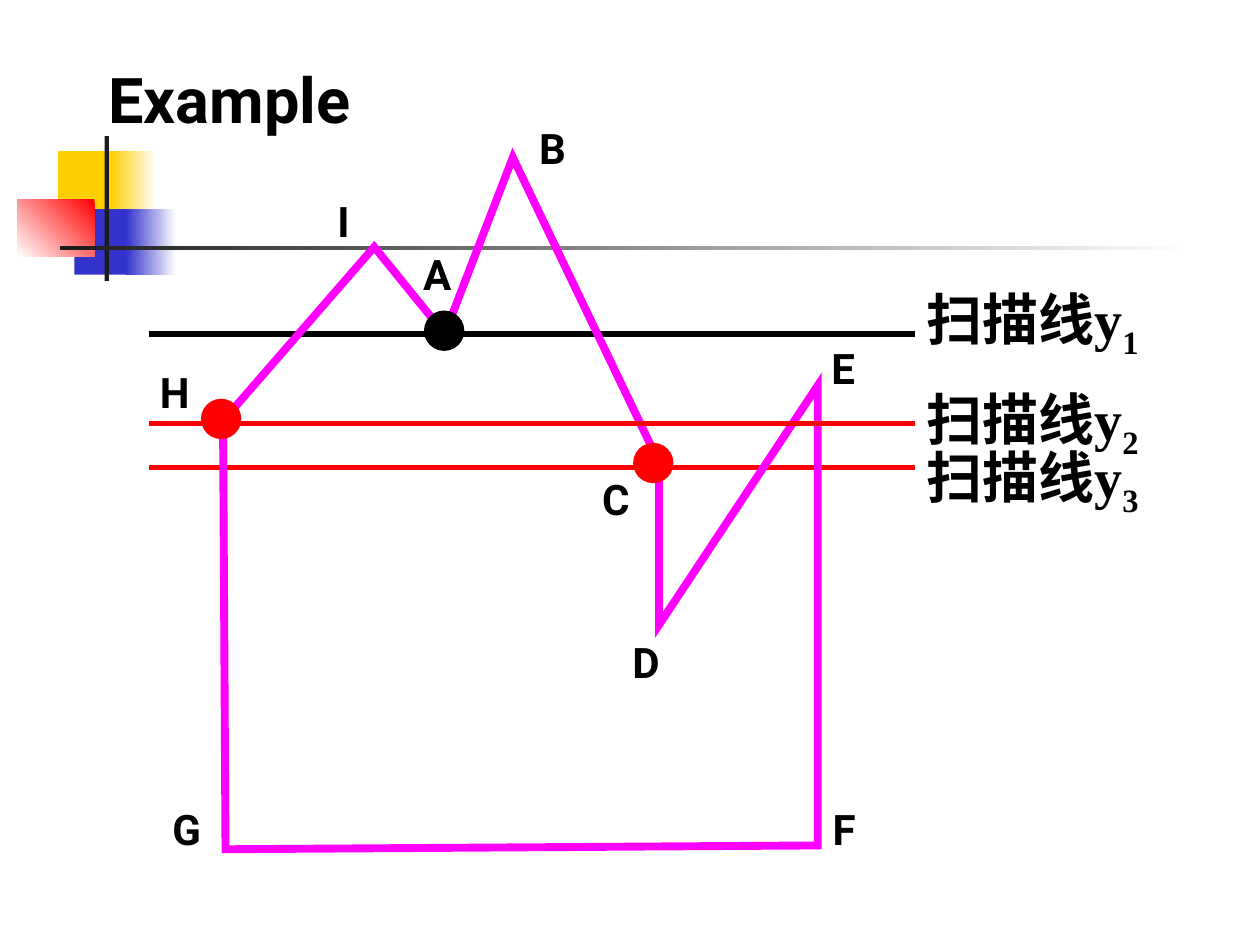
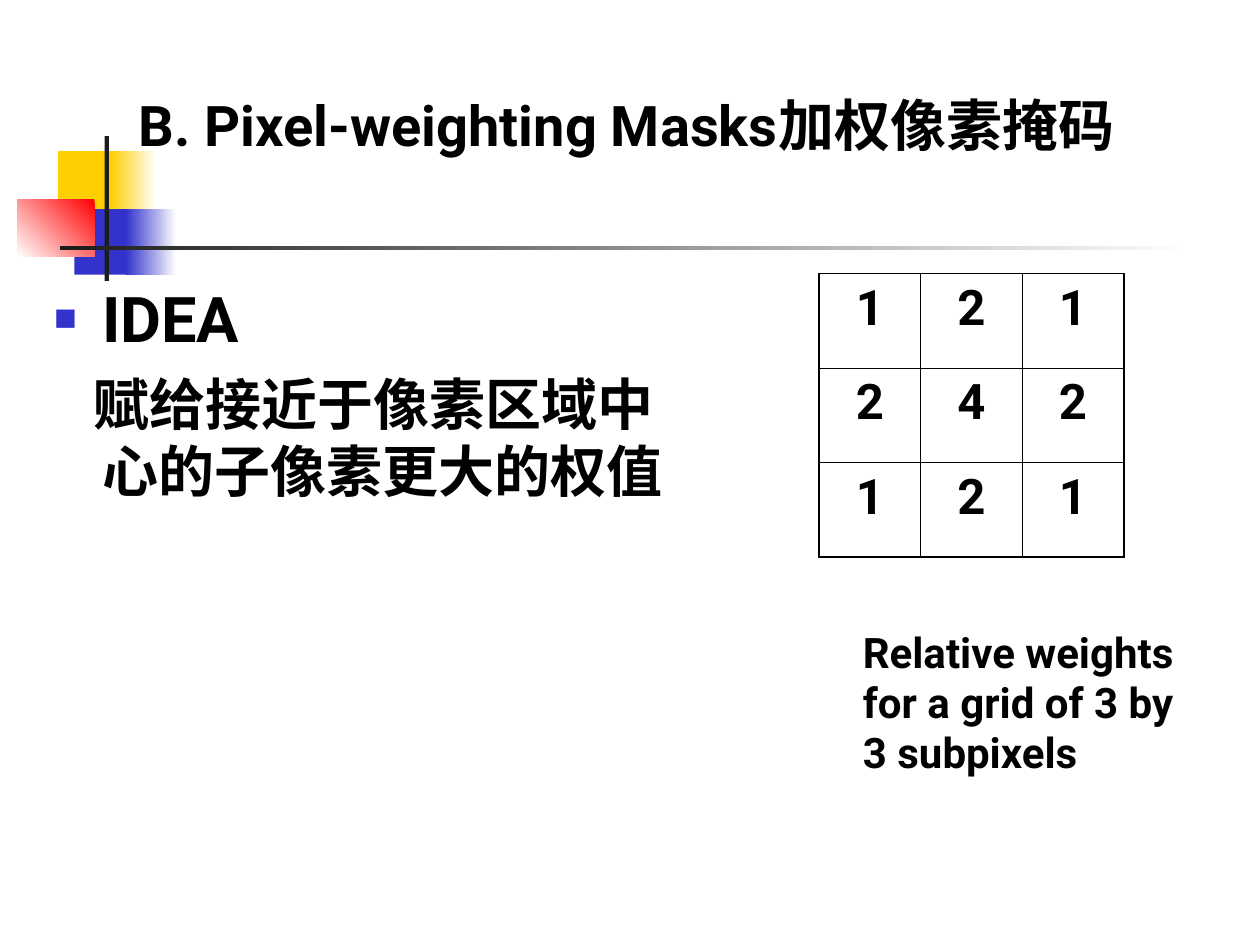
from typing import NamedTuple, Optional

from lxml.etree import SubElement
from pptx import Presentation
from pptx.dml.color import RGBColor
from pptx.enum.shapes import MSO_CONNECTOR as Connector, MSO_SHAPE as Preset
from pptx.enum.text import MSO_ANCHOR as Anchor, MSO_AUTO_SIZE as AutoSize, PP_ALIGN as Align
from pptx.oxml.ns import qn
from pptx.util import Emu, Inches, Pt

WIDTH, HEIGHT = Inches(10), Inches(7.5)
COLUMNS, ROWS = 100, 75

BLACK, WHITE, RED, MAGENTA = "000000", "FFFFFF", "FF0000", "FF00FF"
YELLOW, BLUE, CHARCOAL = "FFCF01", "3333CC", "1C1C1C"
SANS, SERIF = "Roboto", "Times New Roman"


class Area(NamedTuple):
    """Place and size in grid columns and rows."""
    left: float
    top: float
    width: float
    height: float


class Band(NamedTuple):
    area: Area
    start: str
    end: Optional[str] = None
    angle: float = 180


class Vertex(NamedTuple):
    letter: str
    x: float
    y: float
    label_left: float
    label_top: float
    label_width: float


class ScanLine(NamedTuple):
    index: str
    y: float
    label_top: float
    label_width: float
    color: str


class Dot(NamedTuple):
    x: float
    y: float
    color: str


BANDS = [
    Band(Area(4.6, 12, 4.8, 5.2), YELLOW),
    Band(Area(8.8, 12, 3.6, 5.2), WHITE, YELLOW),
    Band(Area(5.9, 16.6, 4.6, 5.2), BLUE),
    Band(Area(10, 16.6, 4, 5.2), WHITE, BLUE),
    Band(Area(1.4, 15.8, 6.1, 4.6), RED, WHITE, 225),
    Band(Area(8.3, 10.8, 0.35, 11.5), CHARCOAL),
    Band(Area(4.8, 19.5, 90, 0.35), WHITE, CHARCOAL),
]

VERTICES = [
    Vertex("H", 17.7, 33.4, 11.7, 28.6, 4.5),
    Vertex("I", 29.7, 19.6, 25.8, 15, 3.3),
    Vertex("A", 35.3, 26.5, 32.6, 19.2, 4.3),
    Vertex("B", 40.7, 12.5, 41.8, 9.2, 4.2),
    Vertex("C", 52.3, 36.7, 46.8, 37.1, 4.1),
    Vertex("D", 52.3, 49.6, 49.2, 50, 4.4),
    Vertex("E", 64.9, 30.6, 65, 26.7, 3.8),
    Vertex("F", 64.9, 67.1, 65.1, 63.3, 3.8),
    Vertex("G", 17.9, 67.4, 12.7, 63.3, 4.4),
]
SCAN_1 = ScanLine("1", 26.5, 22.6, 20.8, BLACK)
SCAN_2 = ScanLine("2", 33.6, 30.5, 22.5, RED)
SCAN_3 = ScanLine("3", 37.1, 35.1, 24.2, RED)
SCAN_LEFT, SCAN_RIGHT, SCAN_LABEL_LEFT = 11.8, 72.6, 73.5
DOTS = [Dot(35.25, 26.25, BLACK), Dot(51.85, 36.75, RED), Dot(17.55, 33.25, RED)]
DOT_SIZE = 3.1

WEIGHTS = [[1, 2, 1], [2, 4, 2], [1, 2, 1]]
OUTER_LINE, INNER_LINE = 1.08, 0.45


def rgb(color: str) -> RGBColor:
    return RGBColor.from_string(color)


def across(columns: float) -> Emu:
    return Emu(round(WIDTH * columns / COLUMNS))


def down(rows: float) -> Emu:
    return Emu(round(HEIGHT * rows / ROWS))


def on_grid(area: Area) -> tuple:
    return across(area.left), down(area.top), across(area.width), down(area.height)


def add_run(paragraph, text: str, size: float, font: str = SANS):
    run = paragraph.add_run()
    run.text = text
    run.font.size, run.font.name, run.font.bold = Pt(size), font, True
    run.font.color.rgb = rgb(BLACK)
    return run


def add_band(slide, band: Band) -> None:
    shape = slide.shapes.add_shape(Preset.RECTANGLE, *on_grid(band.area))
    shape.shadow.inherit = False
    shape.line.fill.background()
    if band.end is None:
        shape.fill.solid()
        shape.fill.fore_color.rgb = rgb(band.start)
        return
    shape.fill.gradient()
    shape.fill.gradient_angle = band.angle
    for stop, color in zip(shape.fill.gradient_stops, (band.start, band.end)):
        stop.color.rgb = rgb(color)


def place(placeholder, area: Area, anchor: Anchor):
    placeholder.left, placeholder.top, placeholder.width, placeholder.height = on_grid(area)
    frame = placeholder.text_frame
    frame.auto_size, frame.word_wrap, frame.vertical_anchor = AutoSize.NONE, True, anchor
    return frame


def new_slide(deck, layout: int, title: str, area: Area, size: float, anchor: Anchor):
    """Add a slide with the shared bands and a left-aligned title."""
    slide = deck.slides.add_slide(deck.slide_layouts[layout])
    for band in BANDS:
        add_band(slide, band)
    heading = place(slide.shapes.title, area, anchor).paragraphs[0]
    heading.alignment = Align.LEFT
    add_run(heading, title, size)
    return slide, heading


def add_text_box(slide, area: Area, wrap: bool = True):
    frame = slide.shapes.add_textbox(*on_grid(area)).text_frame
    frame.word_wrap = wrap
    return frame


def add_scan_line(slide, scan: ScanLine) -> None:
    line = slide.shapes.add_connector(
        Connector.STRAIGHT, across(SCAN_LEFT), down(scan.y), across(SCAN_RIGHT), down(scan.y))
    line.line.color.rgb = rgb(scan.color)
    line.line.width = Pt(3)
    SubElement(line._element.spPr, qn("a:effectLst"))

    label = add_text_box(slide, Area(SCAN_LABEL_LEFT, scan.label_top, scan.label_width, 6.1))
    label.margin_left = label.margin_right = label.margin_top = label.margin_bottom = 0
    label.vertical_anchor = Anchor.MIDDLE
    label.auto_size = AutoSize.SHAPE_TO_FIT_TEXT
    add_run(label.paragraphs[0], "扫描线y", 32, SERIF)
    subscript = add_run(label.paragraphs[0], scan.index, 32, SERIF)
    subscript.font._element.set("baseline", "-25000")


def add_polygon(slide) -> None:
    corners = [(across(v.x), down(v.y)) for v in VERTICES]
    builder = slide.shapes.build_freeform(*corners[0])
    builder.add_line_segments(corners[1:], close=True)
    polygon = builder.convert_to_shape()
    polygon.shadow.inherit = False
    polygon.fill.background()
    polygon.line.color.rgb = rgb(MAGENTA)
    polygon.line.width = Pt(4.5)
    SubElement(polygon.line._get_or_add_ln(), qn("a:miter"), lim="800000")


def add_dot(slide, dot: Dot) -> None:
    half = DOT_SIZE / 2
    area = Area(dot.x - half, dot.y - half, DOT_SIZE, DOT_SIZE)
    shape = slide.shapes.add_shape(Preset.OVAL, *on_grid(area))
    shape.shadow.inherit = False
    shape.fill.solid()
    shape.fill.fore_color.rgb = shape.line.color.rgb = rgb(dot.color)
    shape.line.width = Pt(0.75)


def set_indent(paragraph, left: float, first: float):
    properties = paragraph._p.get_or_add_pPr()
    properties.set("marL", str(Inches(left)))
    properties.set("indent", str(Inches(first)))
    return properties


def add_square_bullet(properties) -> None:
    color = SubElement(properties, qn("a:buClr"))
    SubElement(color, qn("a:srgbClr"), val=BLUE)
    SubElement(properties, qn("a:buSzPct"), val="60000")
    SubElement(properties, qn("a:buChar"), char="■")


def set_border(cell, side: str, width: float) -> None:
    border = SubElement(cell._tc.get_or_add_tcPr(), qn(f"a:ln{side}"), w=str(Pt(width)))
    SubElement(SubElement(border, qn("a:solidFill")), qn("a:srgbClr"), val=BLACK)


def add_weight_table(slide, area: Area) -> None:
    count = len(WEIGHTS)
    table = slide.shapes.add_table(count, count, *on_grid(area)).table
    table.first_row = table.horz_banding = False
    last = count - 1
    for r, weights in enumerate(WEIGHTS):
        for c, weight in enumerate(weights):
            cell = table.cell(r, c)
            outer_sides = {"L": c == 0, "R": c == last, "T": r == 0, "B": r == last}
            for side, outer in outer_sides.items():
                set_border(cell, side, OUTER_LINE if outer else INNER_LINE)
            cell.fill.background()
            paragraph = cell.text_frame.paragraphs[0]
            paragraph.alignment = Align.CENTER
            add_run(paragraph, str(weight), 28)


def build_scan_example(deck) -> None:
    slide, heading = new_slide(deck, 5, "Example", Area(7.6, 3.1, 82.8, 8.2), 36, Anchor.MIDDLE)
    heading.line_spacing = 1.2
    add_scan_line(slide, SCAN_1)
    add_scan_line(slide, SCAN_3)
    add_polygon(slide)
    add_scan_line(slide, SCAN_2)
    for dot in DOTS:
        add_dot(slide, dot)
    for v in VERTICES:
        label = add_text_box(slide, Area(v.label_left, v.label_top, v.label_width, 5), wrap=False)
        label.auto_size = AutoSize.SHAPE_TO_FIT_TEXT
        add_run(label.paragraphs[0], v.letter, 24)


def build_weighting_masks(deck) -> None:
    slide, _ = new_slide(deck, 1, "B. Pixel-weighting Masks加权像素掩码",
                         Area(10, 6.7, 86.7, 6.4), 32, Anchor.TOP)
    body = place(slide.placeholders[1], Area(3.3, 21.7, 53.3, 45), Anchor.TOP)

    idea = body.paragraphs[0]
    idea.space_before = Pt(0)
    add_square_bullet(set_indent(idea, 0.38, -0.38))
    add_run(idea, "IDEA", 36)

    explanation = body.add_paragraph()
    explanation.space_before = Pt(8)
    SubElement(set_indent(explanation, 0.38, -0.07), qn("a:buNone"))
    add_run(explanation, "赋给接近于像素区域中心的子像素更大的权值", 32)

    add_weight_table(slide, Area(65, 21.7, 24.2, 22.5))
    caption = add_text_box(slide, Area(67.5, 49.2, 26.7, 15.5))
    add_run(caption.paragraphs[0], "Relative weights for a grid of 3 by 3 subpixels", 24)


def main() -> None:
    deck = Presentation()
    deck.slide_width, deck.slide_height = WIDTH, HEIGHT
    build_scan_example(deck)
    build_weighting_masks(deck)
    deck.save("out.pptx")


if __name__ == "__main__":
    main()
